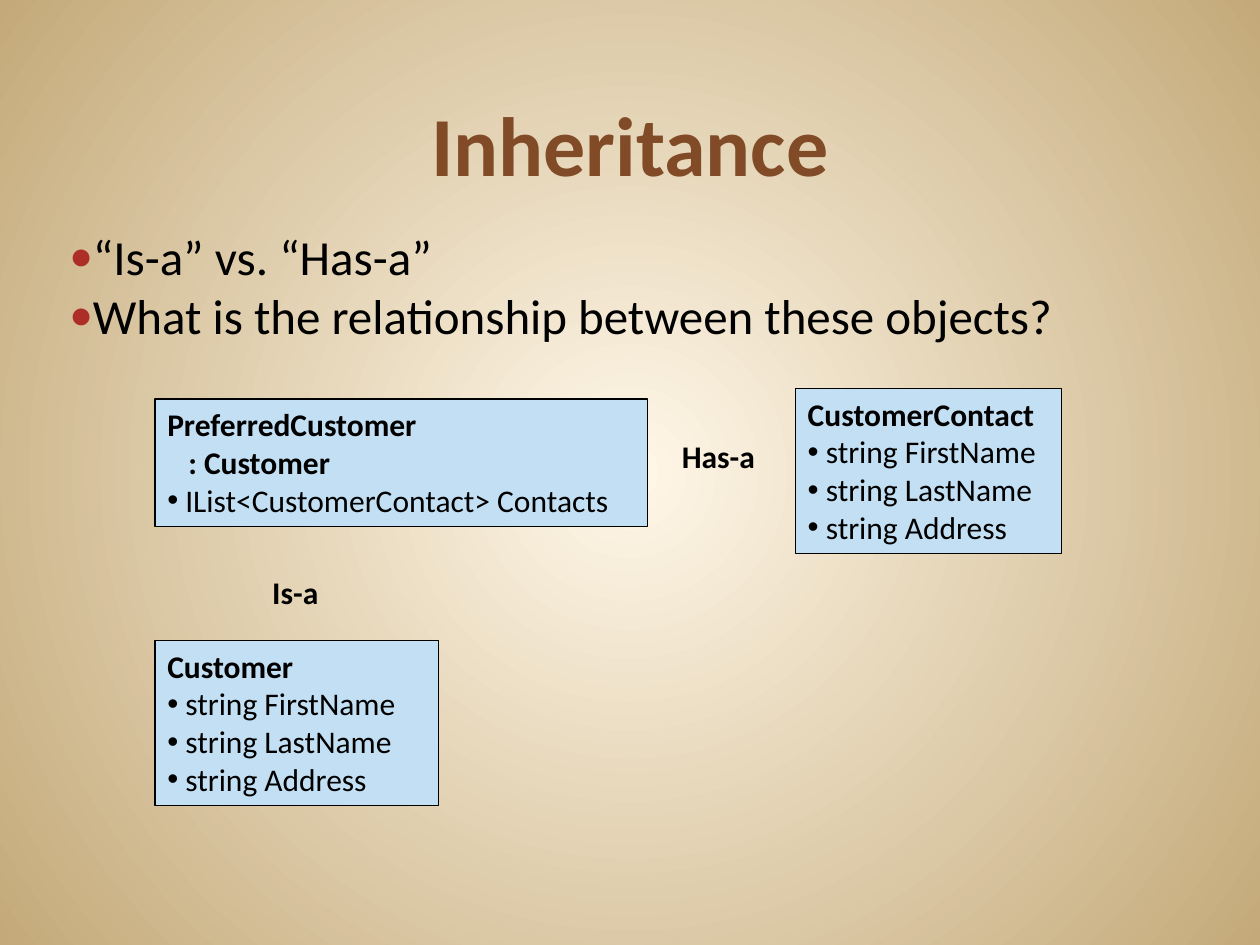
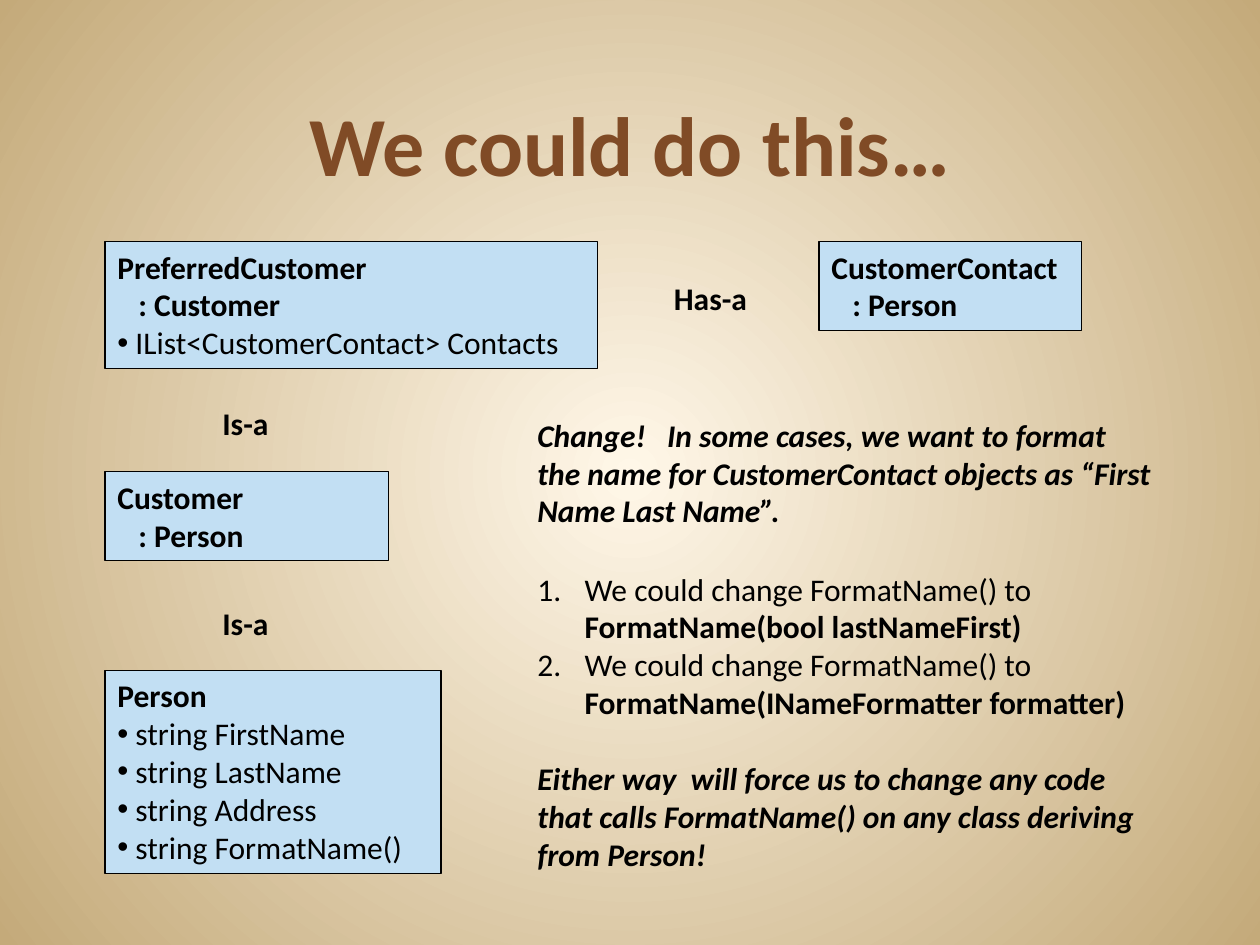
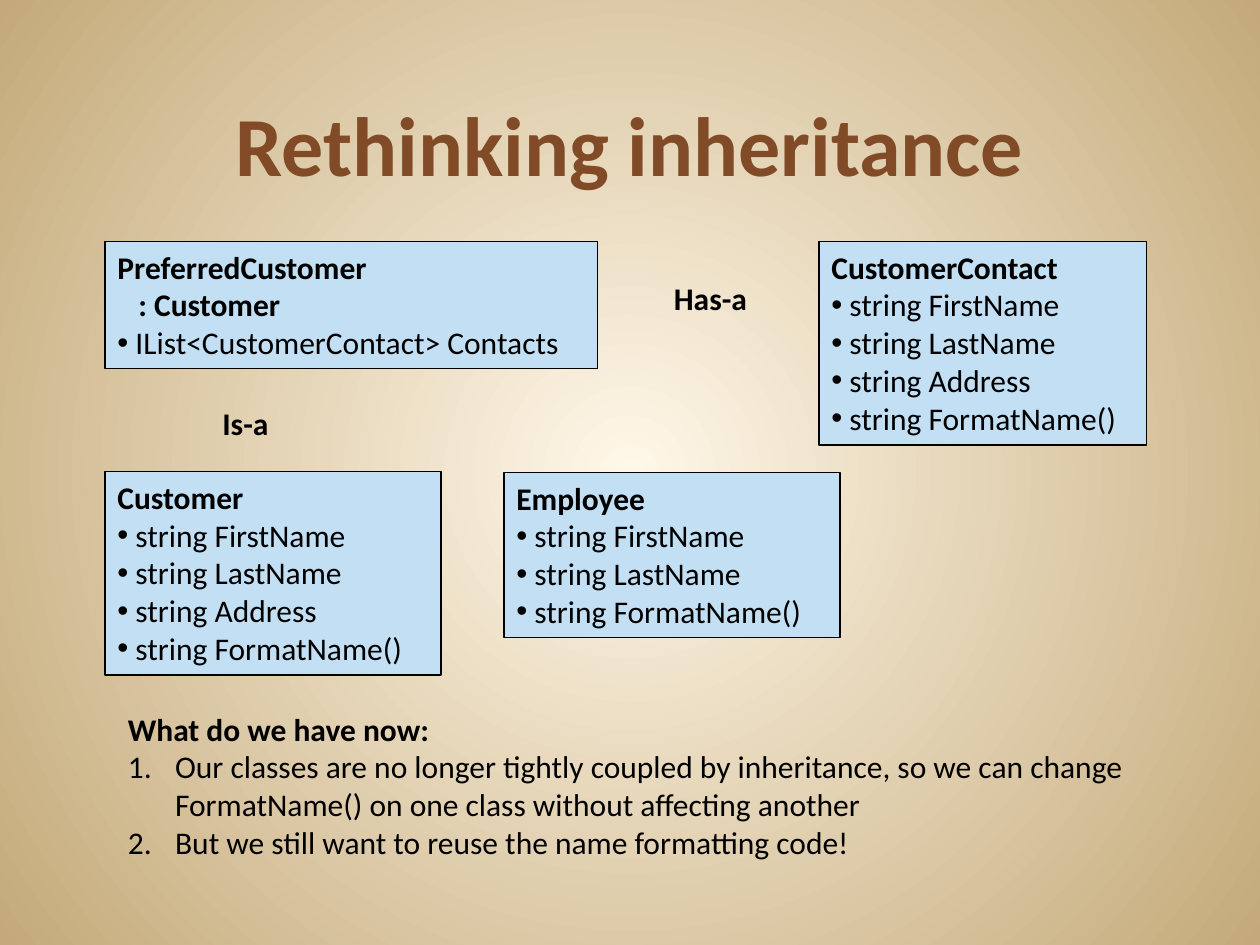
"""Build three slides on class inheritance as boxes, relation labels and remarks."""
from lxml import etree
from pptx import Presentation
from pptx.dml.color import RGBColor
from pptx.enum import shapes, text
from pptx.oxml import ns
from pptx.util import Pt

FONT = "Calibri"
BROWN = RGBColor(0x80, 0x4B, 0x26)
BLACK = RGBColor(0x00, 0x00, 0x00)
BOX_BLUE = RGBColor(0xC2, 0xDF, 0xF3)
CREAM = RGBColor(0xFF, 0xF7, 0xE8)
SAND = RGBColor(0xC4, 0xAA, 0x7A)
RED = RGBColor(0xAD, 0x2E, 0x27)

LINE_HEIGHT, BOX_MARGINS = 21.8, 7.3
LABEL_HEIGHT = 28.8
LABEL_WIDTHS = {"Is-a": 42, "Has-a": 57}

STYLES = {
    "title": {"size": 48, "bold": True, "color": BROWN},
    "point": {"size": 28, "indent": -21.6, "bullet": "●", "bullet_color": RED, "bullet_size": 80},
    "head": {"bold": True},
    "base": {"bold": True, "margin": 12},
    "member": {"bullet": "•"},
    "step": {"margin": 27, "indent": -27, "numbered": True},
    "remark": {"bold": True, "italic": True},
    "closing": {"bold": True, "italic": True, "before": 22},
}

FIRST, LAST, ADDRESS, FORMAT = [
    ("member", f" string {field}") for field in ("FirstName", "LastName", "Address", "FormatName()")
]
PREFERRED = [
    ("head", "PreferredCustomer"),
    ("base", ": Customer"),
    ("member", " IList<CustomerContact> Contacts"),
]
CUSTOMER = ("head", "Customer")
CONTACT = ("head", "CustomerContact")
PERSON_BASE = ("base", ": Person")

SLIDES = [
    {
        "title": "Inheritance",
        "classes": [
            (88.5, 366, 162, [CUSTOMER, FIRST, LAST, ADDRESS]),
            (88.5, 228, 281.5, PREFERRED),
            (454.5, 222, 152, [CONTACT, FIRST, LAST, ADDRESS]),
        ],
        "relations": [(148.5, 324, "Is-a"), (382.5, 246, "Has-a")],
        "remarks": [
            (36, 126, 648, 90, [
                ("point", "“Is-a” vs. “Has-a”"),
                ("point", "What is the relationship between these objects?"),
            ]),
        ],
    },
    {
        "title": "We could do this…",
        "classes": [
            (60, 269.5, 162, [CUSTOMER, PERSON_BASE]),
            (60, 138, 281.5, PREFERRED),
            (468, 138, 150, [CONTACT, PERSON_BASE]),
            (60, 383, 192, [("head", "Person"), FIRST, LAST, ADDRESS, FORMAT]),
        ],
        "relations": [(120, 227.5, "Is-a"), (378, 156, "Has-a"), (120, 341.5, "Is-a")],
        "remarks": [
            (300, 234, 366, 73, [
                ("remark", "Change!   In some cases, we want to format the name for "
                           "CustomerContact objects as “First Name Last Name”."),
            ]),
            (300, 322, 372, 204, [
                ("step", "We could change FormatName() to ", "FormatName(bool lastNameFirst)"),
                ("step", "We could change FormatName() to ", "FormatName(INameFormatter formatter)"),
                ("closing", "Either way  will force us to change any code that calls "
                            "FormatName() on any class deriving from Person!"),
            ]),
        ],
    },
    {
        "title": "Rethinking inheritance",
        "classes": [
            (60, 269.5, 192, [CUSTOMER, FIRST, LAST, ADDRESS, FORMAT]),
            (60, 138, 281.5, PREFERRED),
            (468, 138, 187, [CONTACT, FIRST, LAST, ADDRESS, FORMAT]),
            (288, 270, 192, [("head", "Employee"), FIRST, LAST, FORMAT]),
        ],
        "relations": [(120, 227.5, "Is-a"), (378, 156, "Has-a")],
        "remarks": [
            (66, 402, 606, 94.5, [
                ("head", "What do we have now:"),
                ("step", "Our classes are no longer tightly coupled by inheritance, so we can "
                         "change FormatName() on one class without affecting another"),
                ("step", "But we still want to reuse the name formatting code!"),
            ]),
        ],
    },
]


def add_xml(parent, tag, **attributes):
    return etree.SubElement(parent, ns.qn(tag), attributes)


def paint_background(master):
    fill = master.background.fill
    fill.gradient()
    for stop, color in zip(fill.gradient_stops, (CREAM, SAND)):
        stop.color.rgb = color
    gradient = master.element.find(".//" + ns.qn("p:bgPr") + "/" + ns.qn("a:gradFill"))
    for linear in gradient.findall(ns.qn("a:lin")):
        gradient.remove(linear)
    circle = add_xml(gradient, "a:path", path="circle")
    add_xml(circle, "a:fillToRect", l="50000", t="50000", r="50000", b="50000")


def style_paragraph(paragraph, style):
    paragraph.alignment = text.PP_ALIGN.LEFT
    if "before" in style:
        paragraph.space_before = Pt(style["before"])
    properties = paragraph._p.get_or_add_pPr()
    properties.set("marL", str(Pt(style.get("margin", 0))))
    properties.set("indent", str(Pt(style.get("indent", 0))))
    if "bullet_color" in style:
        add_xml(add_xml(properties, "a:buClr"), "a:srgbClr", val=str(style["bullet_color"]))
        add_xml(properties, "a:buSzPct", val=str(style["bullet_size"] * 1000))
    if "bullet" in style:
        add_xml(properties, "a:buFont", typeface="Arial")
        add_xml(properties, "a:buChar", char=style["bullet"])
    if "numbered" in style:
        add_xml(properties, "a:buAutoNum", type="arabicPeriod")


def write(frame, lines):
    frame.word_wrap = True
    frame.vertical_anchor = text.MSO_ANCHOR.TOP
    for row, (kind, *parts) in enumerate(lines):
        style = STYLES[kind]
        paragraph = frame.paragraphs[0] if row == 0 else frame.add_paragraph()
        style_paragraph(paragraph, style)
        for order, part in enumerate(parts):
            run = paragraph.add_run()
            run.text = part
            run.font.name = FONT
            run.font.size = Pt(style.get("size", 18))
            run.font.bold = order > 0 or style.get("bold", False)
            run.font.italic = style.get("italic", False)
            run.font.color.rgb = style.get("color", BLACK)


def add_text(slide, place, lines):
    frame = slide.shapes.add_textbox(*map(Pt, place)).text_frame
    write(frame, lines)
    return frame


def add_title(slide, title):
    frame = add_text(slide, (36, 24, 648, 90), [("title", title)])
    frame.vertical_anchor = text.MSO_ANCHOR.BOTTOM
    frame.paragraphs[0].alignment = text.PP_ALIGN.CENTER


def add_class(slide, left, top, width, lines):
    height = BOX_MARGINS + LINE_HEIGHT * len(lines)
    box = slide.shapes.add_shape(shapes.MSO_SHAPE.RECTANGLE, *map(Pt, (left, top, width, height)))
    box.shadow.inherit = False
    box.fill.solid()
    box.fill.fore_color.rgb = BOX_BLUE
    box.line.color.rgb = BLACK
    box.line.width = Pt(0.75)
    write(box.text_frame, lines)


def add_remark(slide, left, top, width, height, lines):
    frame = add_text(slide, (left, top, width, height), lines)
    if lines[0][0] == "point":
        frame.margin_left = frame.margin_right = Pt(3.6)


def main():
    deck = Presentation()
    deck.slide_width, deck.slide_height = Pt(720), Pt(540)
    paint_background(deck.slide_master)
    for content in SLIDES:
        slide = deck.slides.add_slide(deck.slide_layouts[6])
        add_title(slide, content["title"])
        for class_box in content["classes"]:
            add_class(slide, *class_box)
        for left, top, relation in content["relations"]:
            place = (left, top, LABEL_WIDTHS[relation], LABEL_HEIGHT)
            add_text(slide, place, [("head", relation)])
        for remark in content["remarks"]:
            add_remark(slide, *remark)
    deck.save("out.pptx")


if __name__ == "__main__":
    main()
